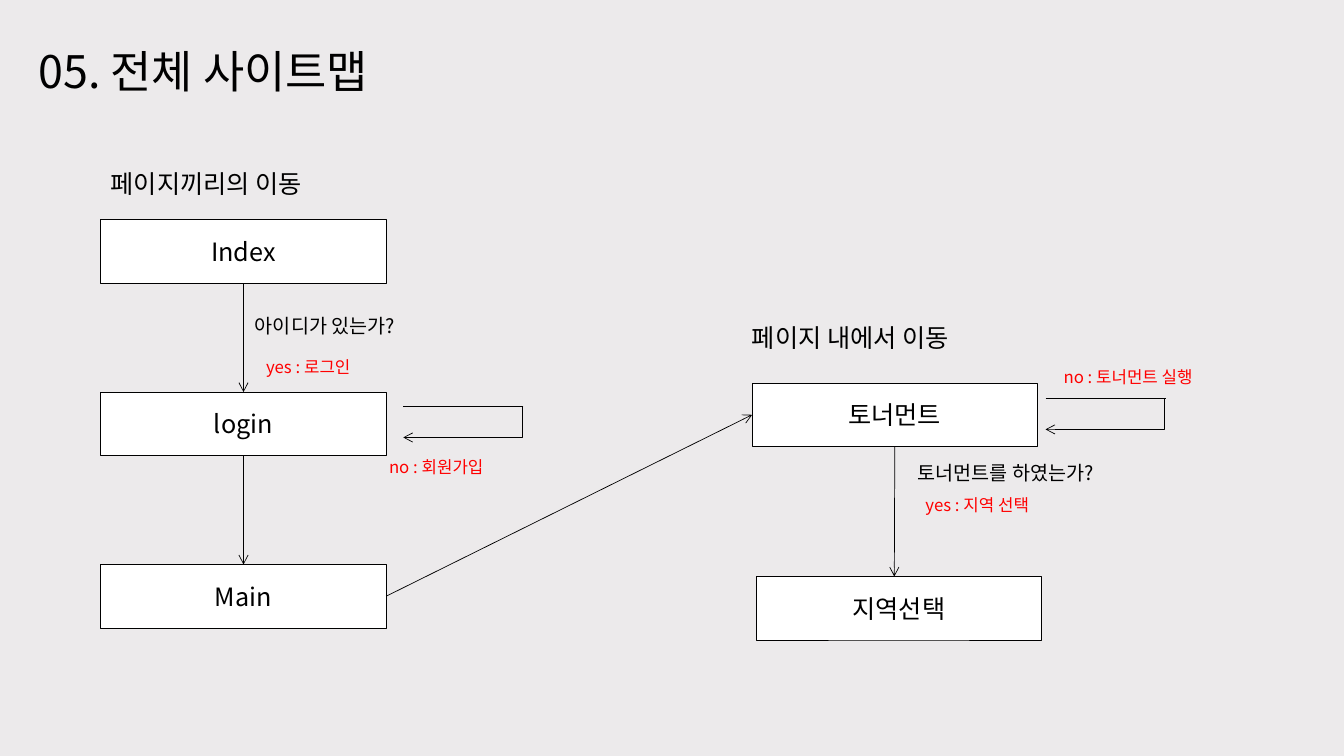
from pptx import Presentation
from pptx.dml.color import RGBColor
from pptx.enum.shapes import MSO_CONNECTOR as CONN, MSO_SHAPE as SHAPE
from pptx.enum.text import MSO_ANCHOR as ANCHOR, MSO_AUTO_SIZE as AUTO, PP_ALIGN as ALIGN
from pptx.oxml.ns import qn
from pptx.util import Inches, Pt
from lxml.etree import SubElement

COLORS = {"bg": "ECEAEB", "box": "FFFFFF", "ink": "000000", "answer": "FF0000"}
FONT = "Noto Sans CJK KR"
TOP, LEFT, BOTTOM, RIGHT = range(4)
BOX_W, BOX_H = 2.83, 0.63
LOOP_W, LOOP_H = 1.19, 0.31


def rgb(name):
    return RGBColor.from_string(COLORS[name])


def write(tf, text, size=18, color="ink", align=ALIGN.LEFT, anchor=ANCHOR.TOP):
    tf.word_wrap = True
    tf.vertical_anchor = anchor
    p = tf.paragraphs[0]
    p.alignment = align
    r = p.add_run()
    r.text = text
    r.font.size = Pt(size)
    r.font.name = FONT
    r.font.color.rgb = rgb(color)
    SubElement(r.font._element, qn("a:ea"), typeface=FONT)


class Sitemap:
    def __init__(self, prs):
        self.slide = prs.slides.add_slide(prs.slide_layouts[5])
        self.shapes = self.slide.shapes
        fill = self.slide.background.fill
        fill.solid()
        fill.fore_color.rgb = rgb("bg")

    def title(self, text, x, y, w, h):
        sp = self.shapes.title
        sp.left, sp.top, sp.width, sp.height = map(Inches, (x, y, w, h))
        write(sp.text_frame, text, size=32, anchor=ANCHOR.MIDDLE)

    def page(self, text, x, y):
        sp = self.shapes.add_shape(SHAPE.RECTANGLE, *map(Inches, (x, y, BOX_W, BOX_H)))
        sp.shadow.inherit = False
        sp.fill.solid()
        sp.fill.fore_color.rgb = rgb("box")
        sp.line.color.rgb = rgb("ink")
        sp.line.width = Pt(0.5)
        write(sp.text_frame, text, align=ALIGN.CENTER, anchor=ANCHOR.MIDDLE)
        return sp

    def label(self, text, x, y, w, h, **style):
        sp = self.shapes.add_textbox(*map(Inches, (x, y, w, h)))
        write(sp.text_frame, text, **style)
        sp.text_frame.auto_size = AUTO.SHAPE_TO_FIT_TEXT

    def connector(self, x1, y1, x2, y2, kind=CONN.STRAIGHT, arrow=True):
        c = self.shapes.add_connector(kind, *map(Inches, (x1, y1, x2, y2)))
        c.line.color.rgb = rgb("ink")
        c.line.width = Pt(0.5)
        if arrow:
            SubElement(c.line._get_or_add_ln(), qn("a:tailEnd"), type="arrow")
        SubElement(c._element.spPr, qn("a:effectLst"))
        return c

    def link(self, start, start_side, end, end_side):
        c = self.connector(0, 0, 1, 1)
        c.begin_connect(start, start_side)
        c.end_connect(end, end_side)

    def loop(self, x, y):
        """Draw an arrow that leaves to the right and returns below."""
        right = x + LOOP_W
        self.connector(x, y, right, y, arrow=False)
        c = self.connector(right, y, x, y + LOOP_H, kind=CONN.ELBOW)
        guides = c._element.spPr.find(qn("a:prstGeom")).get_or_add_avLst()
        SubElement(guides, qn("a:gd"), name="adj1", fmla="val 800")


def main():
    prs = Presentation()
    prs.slide_width, prs.slide_height = Inches(13.33), Inches(7.5)
    s = Sitemap(prs)
    s.title("05. 전체 사이트맵", 0.28, 0.38, 4.75, 0.64)

    index, login, home = [s.page(name, 1, 2.18 + 1.71 * i)
                          for i, name in enumerate(("Index", "login", "Main"))]
    tournament = s.page("토너먼트", 7.46, 3.8)
    s.page("지역선택", 7.5, 5.72)

    s.link(index, BOTTOM, login, TOP)
    s.link(login, BOTTOM, home, TOP)
    s.link(home, RIGHT, tournament, LEFT)
    s.connector(8.87, 4.43, 8.87, 5.72).begin_connect(tournament, BOTTOM)
    s.loop(4, 4.03)
    s.loop(10.37, 3.95)

    for text, x, y in (("페이지끼리의 이동", 1, 1.62), ("페이지 내에서 이동", 7.36, 3.15)):
        s.label(text, x, y, 4.2, 0.4)
    for text, x, y in (("아이디가 있는가?", 2.43, 3.07), ("토너먼트를 하였는가?", 9, 4.52)):
        s.label(text, x, y, 3.36, 0.34, size=14)
    for text, x, y, w in (("yes : 로그인", 2.54, 3.49, 1.68),
                          ("no : 회원가입", 3.76, 4.48, 1.68),
                          ("yes : 지역 선택", 9.08, 4.86, 1.68),
                          ("no : 토너먼트 실행", 10.45, 3.59, 2.21)):
        s.label(text, x, y, w, 0.3, size=12, color="answer")

    prs.save("out.pptx")


if __name__ == "__main__":
    main()
